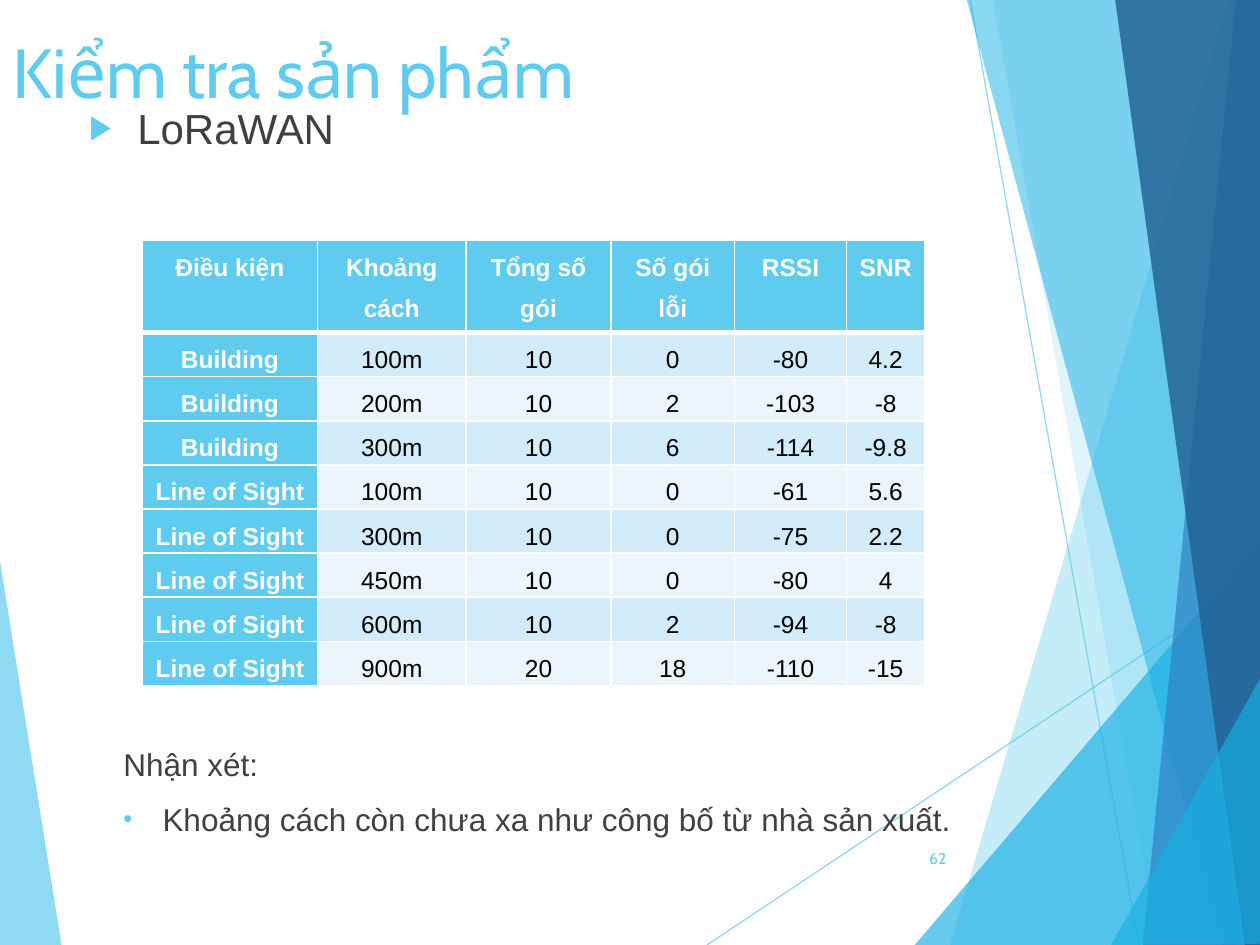
from lxml import etree
from pptx import Presentation
from pptx.dml import color as dml
from pptx.enum import shapes, text
from pptx.oxml import ns
from pptx.util import Inches, Pt

COLORS = {
    "sky": "5FCBEF", "cyan": "17B0E4", "blue": "2E83C3", "navy": "226292",
    "band": "D2ECF9", "pale": "EAF6FC",
    "white": "FFFFFF", "black": "000000", "body": "404040",
}
BODY_FONT, TITLE_FONT = "Arial", "Cabin"

# Corner points in inches, colour, opacity in percent
FACETS = [
    ([(-0.01, 4.39), (0.49, 7.51), (-0.01, 7.5)], "sky", 70),
    ([(9.75, 0), (7.54, 7.5), (10.02, 7.51), (10.01, 0.01)], "sky", 36),
    ([(7.88, -0.01), (9.19, 7.5), (10.01, 7.5), (10.01, -0.01)], "sky", 20),
    ([(7.26, 7.5), (10, 4.29), (10.01, 7.5)], "cyan", 66),
    ([(7.67, -0.01), (9.7, 7.5), (10.01, 7.49), (10.01, -0.01)], "cyan", 50),
    ([(9.81, -0.01), (9.07, 7.5), (10.01, 7.5), (10, -0.01)], "blue", 70),
    ([(8.85, -0.01), (9.88, 7.5), (10.02, 7.5), (10, -0.01)], "navy", 82),
    ([(8.82, 7.5), (10.02, 5.35), (10.02, 7.49)], "cyan", 66),
]
RAYS = [((5.61, 7.5), (10.01, 4.57)), ((7.7, 0), (9.04, 7.5))]

COLUMN_WIDTHS = [1.39, 1.18, 1.15, 0.98, 0.89, 0.62]
HEADER_HEIGHT, ROW_HEIGHT = 0.73, 0.35
RESULTS = [
    ("Điều kiện", "Khoảng cách", "Tổng số gói", "Số gói lỗi", "RSSI", "SNR"),
    ("Building", "100m", "10", "0", "-80", "4.2"),
    ("Building", "200m", "10", "2", "-103", "-8"),
    ("Building", "300m", "10", "6", "-114", "-9.8"),
    ("Line of Sight", "100m", "10", "0", "-61", "5.6"),
    ("Line of Sight", "300m", "10", "0", "-75", "2.2"),
    ("Line of Sight", "450m", "10", "0", "-80", "4"),
    ("Line of Sight", "600m", "10", "2", "-94", "-8"),
    ("Line of Sight", "900m", "20", "18", "-110", "-15"),
]


def rgb(name):
    return dml.RGBColor.from_string(COLORS[name])


def add_element(parent, tag, **attributes):
    element = etree.SubElement(parent, ns.qn(tag))
    for key, value in attributes.items():
        element.set(key, str(value))
    return element


def set_opacity(fill, color, percent):
    fill.solid()
    fill.fore_color.rgb = rgb(color)
    choice = fill._xPr.find(ns.qn("a:solidFill"))[0]
    add_element(choice, "a:alpha", val=percent * 1000)


def set_font(paragraph, name, size, color, bold=False):
    font = paragraph.font
    font.name, font.size, font.bold = name, Pt(size), bold
    font.color.rgb = rgb(color)


def set_bullet(paragraph, character=None, indent=0):
    properties = paragraph._p.get_or_add_pPr()
    properties.set("marL", str(Inches(indent)))
    properties.set("indent", str(-Inches(indent)))
    if character is None:
        add_element(properties, "a:buNone")
        return
    bullet_color = add_element(properties, "a:buClr")
    add_element(bullet_color, "a:srgbClr", val=COLORS["sky"])
    add_element(properties, "a:buSzPct", val=80000)
    add_element(properties, "a:buChar", char=character)


def place(shape, box):
    shape.left, shape.top, shape.width, shape.height = map(Inches, box)


def place_placeholder(slide, placeholder, box, anchor):
    """Move a placeholder into its box and in front of what is drawn so far."""
    slide.shapes._spTree.append(placeholder._element)
    place(placeholder, box)
    frame = placeholder.text_frame
    frame.auto_size = text.MSO_AUTO_SIZE.NONE
    frame.word_wrap = True
    frame.vertical_anchor = anchor
    return frame


def add_facet(slide, points, color, opacity):
    corners = [(Inches(x), Inches(y)) for x, y in points]
    builder = slide.shapes.build_freeform(*corners[0])
    builder.add_line_segments(corners[1:], close=True)
    facet = builder.convert_to_shape()
    facet.shadow.inherit = False
    facet.line.fill.background()
    set_opacity(facet.fill, color, opacity)


def add_ray(slide, start, end):
    ray = slide.shapes.add_connector(
        shapes.MSO_CONNECTOR.STRAIGHT, *map(Inches, start + end))
    ray.line.width = Pt(0.75)
    set_opacity(ray.line.fill, "sky", 70)
    add_element(ray._element.spPr, "a:effectLst")


def add_backdrop(slide):
    add_facet(slide, *FACETS[0])
    for start, end in RAYS:
        add_ray(slide, start, end)
    for facet in FACETS[1:]:
        add_facet(slide, *facet)


def add_title(slide, box):
    frame = place_placeholder(slide, slide.shapes.title, box, text.MSO_ANCHOR.MIDDLE)
    frame.text = "Kiểm tra sản phẩm"
    paragraph = frame.paragraphs[0]
    paragraph.alignment = text.PP_ALIGN.LEFT
    set_font(paragraph, TITLE_FONT, 39.6, "sky")


def add_topic(slide, box):
    frame = place_placeholder(slide, slide.placeholders[1], box, text.MSO_ANCHOR.TOP)
    frame.text = "LoRaWAN"
    paragraph = frame.paragraphs[0]
    set_bullet(paragraph, "▶", 0.38)
    paragraph.space_before = Pt(0)
    set_font(paragraph, BODY_FONT, 24, "body")


def add_remarks(slide, box):
    frame = place_placeholder(slide, slide.placeholders[2], box, text.MSO_ANCHOR.BOTTOM)
    frame.margin_bottom = Inches(0.47)
    frame.text = "Nhận xét:\nKhoảng cách còn chưa xa như công bố từ nhà sản xuất."
    heading, remark = frame.paragraphs
    set_bullet(heading)
    set_bullet(remark, "•", 0.31)
    for paragraph, space in ((heading, 0), (remark, 10)):
        paragraph.space_before = Pt(space)
        set_font(paragraph, BODY_FONT, 18, "body")


def set_borders(cell, top, bottom):
    properties = cell._tc.get_or_add_tcPr()
    for side, width in (("L", 1), ("R", 1), ("T", top), ("B", bottom)):
        line = add_element(properties, f"a:ln{side}", w=Pt(width))
        fill = add_element(line, "a:solidFill")
        add_element(fill, "a:srgbClr", val=COLORS["white"])


def format_cell(cell, value, row, column):
    is_heading = row == 0 or column == 0
    set_borders(cell, top=3 if row == 1 else 1, bottom=3 if row == 0 else 1)
    cell.fill.solid()
    cell.fill.fore_color.rgb = rgb(
        "sky" if is_heading else "band" if row % 2 else "pale")
    cell.margin_left = cell.margin_right = Inches(0.07)
    cell.margin_top = cell.margin_bottom = 0
    cell.text = value
    paragraph = cell.text_frame.paragraphs[0]
    paragraph.alignment = text.PP_ALIGN.CENTER
    paragraph.line_spacing = 1.5
    set_font(paragraph, BODY_FONT, 14, "white" if is_heading else "black", is_heading)


def add_results(slide, box):
    table = slide.shapes.add_table(
        len(RESULTS), len(COLUMN_WIDTHS), *map(Inches, box)).table
    for column, width in zip(table.columns, COLUMN_WIDTHS):
        column.width = Inches(width)
    for r, values in enumerate(RESULTS):
        table.rows[r].height = Inches(ROW_HEIGHT if r else HEADER_HEIGHT)
        for c, value in enumerate(values):
            format_cell(table.cell(r, c), value, r, c)


def add_page_number(slide, box):
    frame = slide.shapes.add_textbox(*map(Inches, box)).text_frame
    frame.word_wrap = True
    frame.vertical_anchor = text.MSO_ANCHOR.MIDDLE
    frame.text = "62"
    paragraph = frame.paragraphs[0]
    paragraph.alignment = text.PP_ALIGN.RIGHT
    set_font(paragraph, TITLE_FONT, 9, "sky")


def main():
    presentation = Presentation()
    presentation.slide_width, presentation.slide_height = Inches(10), Inches(7.5)
    # The two-content layout gives a title and two body placeholders
    slide = presentation.slides.add_slide(presentation.slide_layouts[3])
    add_backdrop(slide)
    add_remarks(slide, (0.88, 6.1, 6.94, 1.02))
    add_results(slide, (1.13, 1.91, 6.2, 3.53))
    add_page_number(slide, (7.05, 6.61, 0.56, 0.4))
    add_title(slide, (0, 0.25, 7.83, 0.62))
    add_topic(slide, (0.61, 0.76, 7.17, 0.79))
    presentation.save("out.pptx")


if __name__ == "__main__":
    main()
